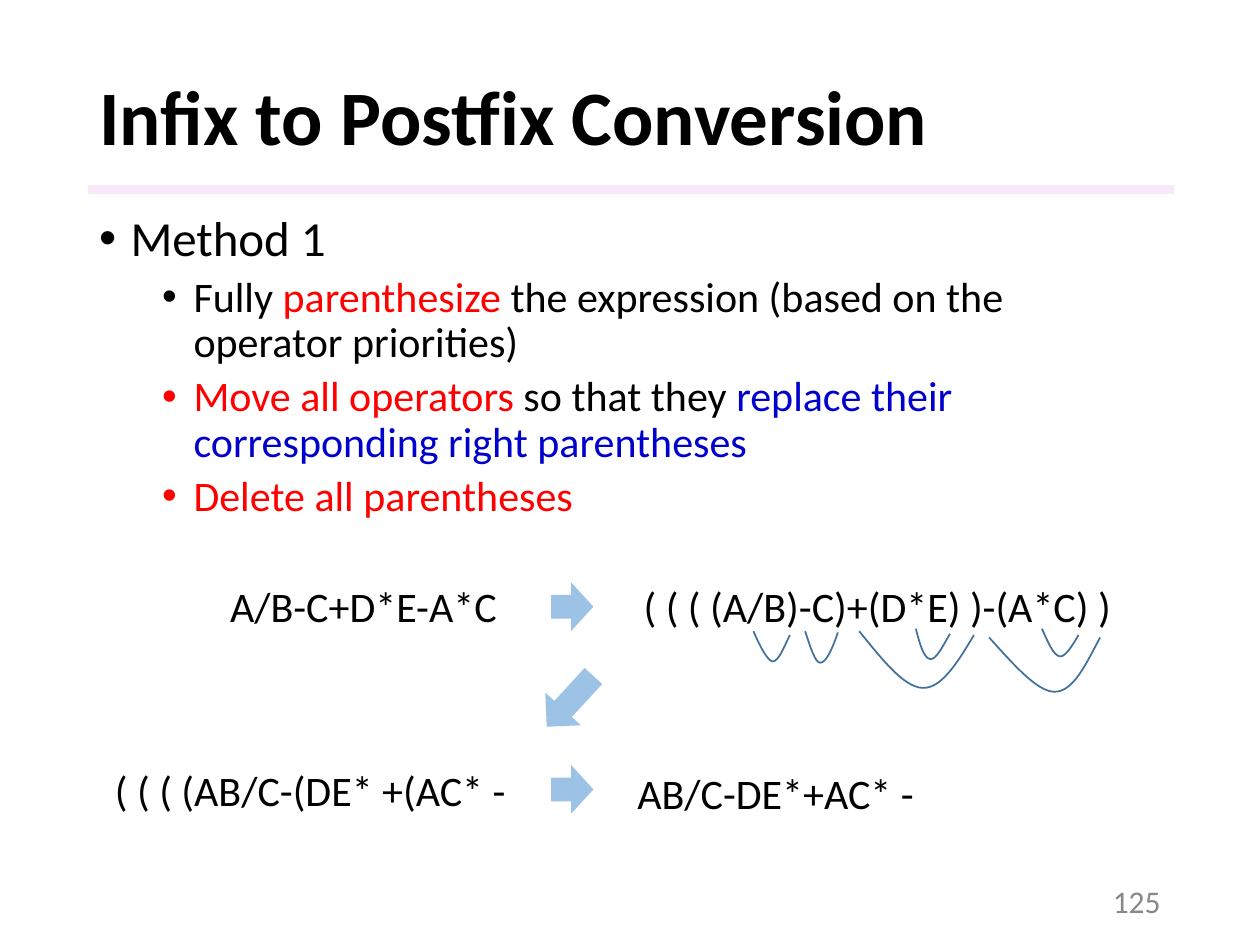
import pptx
import pptx.dml.color
import pptx.enum.shapes
import pptx.enum.text
import pptx.oxml
import pptx.oxml.ns
import pptx.util
from dataclasses import dataclass

Pt = pptx.util.Pt
Shapes = pptx.enum.shapes.MSO_SHAPE
Anchor = pptx.enum.text.MSO_ANCHOR
Align = pptx.enum.text.PP_ALIGN
rgb = pptx.dml.color.RGBColor.from_string
qn = pptx.oxml.ns.qn
make_element = pptx.oxml.parse_xml
namespace = pptx.oxml.ns.nsdecls("a")


@dataclass(frozen=True)
class Theme:
    font: str = "Calibri"
    ink: str = "000000"
    red: str = "FF0000"
    blue: str = "0000CC"
    gray: str = "888888"
    bar: str = "F3D2F4"
    arrow: str = "9CC2E5"
    curve: str = "42719B"
    title: int = 44
    heading: int = 28
    text: int = 24
    number: int = 18


theme = Theme()


def add_box(left, top, width, height, **frame_format):
    """Add an empty text box and return its text frame."""
    frame = slide.shapes.add_textbox(Pt(left), Pt(top), Pt(width), Pt(height)).text_frame
    for name, value in {"word_wrap": True, **frame_format}.items():
        setattr(frame, name, value)
    return frame


def write(para, spans, size, bold=False, **para_format):
    """Fill a paragraph with (text, colour) spans."""
    for name, value in para_format.items():
        setattr(para, name, value)
    for text, colour in spans:
        span = para.add_run()
        span.text = text
        font_format = {"name": theme.font, "size": Pt(size), "bold": bold}
        for name, value in font_format.items():
            setattr(span.font, name, value)
        span.font.color.rgb = rgb(colour)


deck = pptx.Presentation()
deck.slide_width, deck.slide_height = Pt(720), Pt(540)
slide = deck.slides.add_slide(deck.slide_layouts[6])

# Half-transparent bar under the title
bar = slide.shapes.add_shape(Shapes.RECTANGLE, Pt(50.4), Pt(105.8), Pt(620.6), Pt(5))
bar.shadow.inherit = False
bar.fill.solid()
bar.fill.fore_color.rgb = rgb(theme.bar)
bar.line.fill.background()
bar_colour = bar._element.spPr.find(".//" + qn("a:srgbClr"))
bar_colour.append(make_element(f'<a:alpha {namespace} val="50000"/>'))

# Title
title = add_box(49.5, 28.8, 620.6, 80, vertical_anchor=Anchor.MIDDLE)
write(title.paragraphs[0], [("Infix to Postfix Conversion", theme.ink)],
      theme.title, bold=True, line_spacing=0.9)

# Steps of the method: level, spans
steps = [
    (0, [("Method 1", theme.ink)]),
    (1, [("Fully ", theme.ink), ("parenthesize ", theme.red),
         ("the expression (based on the operator priorities)", theme.ink)]),
    (1, [("Move all operators ", theme.red), ("so that they ", theme.ink),
         ("replace their corresponding right parentheses", theme.blue)]),
    (1, [("Delete all parentheses", theme.red)]),
]
body = add_box(49.5, 119, 620.6, 367.2)
for index, (level, spans) in enumerate(steps):
    para = body.add_paragraph() if index else body.paragraphs[0]
    settings = para._p.get_or_add_pPr()
    settings.set("marL", str(Pt(18 + 36 * level)))
    settings.set("indent", str(Pt(-18)))
    for bullet in (f'<a:buClr {namespace}><a:srgbClr val="{spans[0][1]}"/></a:buClr>',
                   f'<a:buFont {namespace} typeface="Arial"/>',
                   f'<a:buChar {namespace} char="•"/>'):
        settings.append(make_element(bullet))
    write(para, spans, theme.text if level else theme.heading,
          level=level, line_spacing=0.9, space_before=Pt(5 * level))

# Expressions: left, top, width, text
expressions = [
    (124.4, 328.3, 168.5, "A/B-C+D*E-A*C"),
    (360.7, 328.3, 283.7, "( ( ( (A/B)-C)+(D*E) )-(A*C) )"),
    (58.6, 433.4, 247, "( ( ( (AB/C-(DE* +(AC* -"),
    (357.1, 434.9, 174.2, "AB/C-DE*+AC* -"),
]
for left, top, width, text in expressions:
    box = add_box(left, top, width, 36, word_wrap=False)
    box.paragraphs[0]._p.get_or_add_pPr().set("marL", "0")
    write(box.paragraphs[0], [(text, theme.ink)], theme.text, level=1)

# Arrows between the expressions: left, top, width, height, rotation
arrows = [
    (315.4, 334.1, 23, 25.2, 0),
    (306.7, 388.1, 38.2, 25.2, 132.6),
    (315.4, 438.5, 23, 25.2, 0),
]
for left, top, width, height, rotation in arrows:
    arrow = slide.shapes.add_shape(Shapes.RIGHT_ARROW, Pt(left), Pt(top), Pt(width), Pt(height))
    arrow.shadow.inherit = False
    arrow.rotation = rotation
    arrow.fill.solid()
    arrow.fill.fore_color.rgb = rgb(theme.arrow)
    arrow.line.color.rgb = rgb(theme.arrow)
    arrow.line.width = Pt(1)
    arrow._element.spPr.find(qn("a:ln")).append(
        make_element(f'<a:miter {namespace} lim="800000"/>'))

# Curves from operator to right parenthesis: two joined Bezier pieces each
curves = [
    [(430.6, 360.7), (434.2, 369.4), (438.5, 377.3), (441.4, 378),
     (445, 378), (447.8, 370.1), (451.4, 362.9)],
    [(460.1, 360.7), (463, 369.4), (465.8, 378.7), (468.7, 378.7),
     (472.3, 378.7), (475.9, 370.1), (478.8, 361.4)],
    [(523.4, 359.3), (525.6, 367.9), (527.8, 375.8), (531.4, 376.6),
     (535, 377.3), (538.6, 369.4), (542.9, 362.2)],
    [(491, 360.7), (504, 376.6), (516.2, 392.4), (527, 393.1),
     (537.8, 393.8), (547.2, 378.7), (556.6, 362.9)],
    [(595.4, 359.3), (599, 367.2), (601.9, 374.4), (605.5, 375.1),
     (608.4, 375.8), (612.7, 369.4), (616.3, 362.9)],
    [(565.2, 364.3), (578.9, 379.4), (592.6, 395.3), (602.6, 395.3),
     (613.4, 395.3), (620.6, 379.4), (628.6, 364.3)],
]
for points in curves:
    start, *controls = [(Pt(x), Pt(y)) for x, y in points]
    builder = slide.shapes.build_freeform(*start)
    builder.add_line_segments(controls, close=False)
    curve = builder.convert_to_shape()
    # Join every three line segments into one Bezier piece
    outline = curve._element.spPr.find(".//" + qn("a:path"))
    segments = outline.findall(qn("a:lnTo"))
    for first in range(0, len(segments), 3):
        bezier = make_element(f"<a:cubicBezTo {namespace}/>")
        for segment in segments[first:first + 3]:
            bezier.append(segment[0])
            outline.remove(segment)
        outline.append(bezier)
    curve.shadow.inherit = False
    curve.fill.background()
    curve.line.color.rgb = rgb(theme.curve)
    curve.line.width = Pt(1)

# Slide number
number = add_box(508.3, 500.4, 162, 28.8, vertical_anchor=Anchor.MIDDLE)
write(number.paragraphs[0], [("125", theme.gray)], theme.number, alignment=Align.RIGHT)

deck.save("out.pptx")
